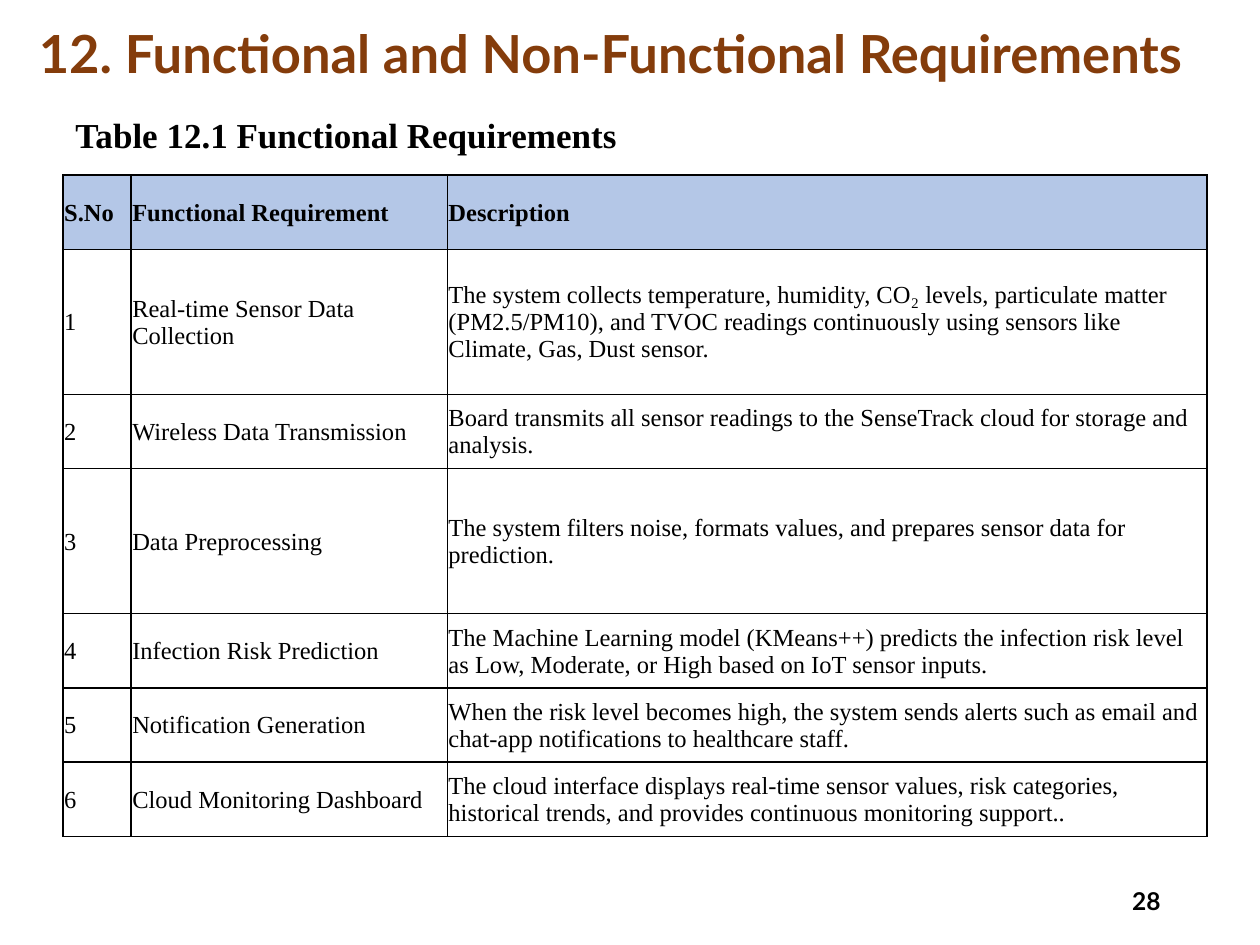
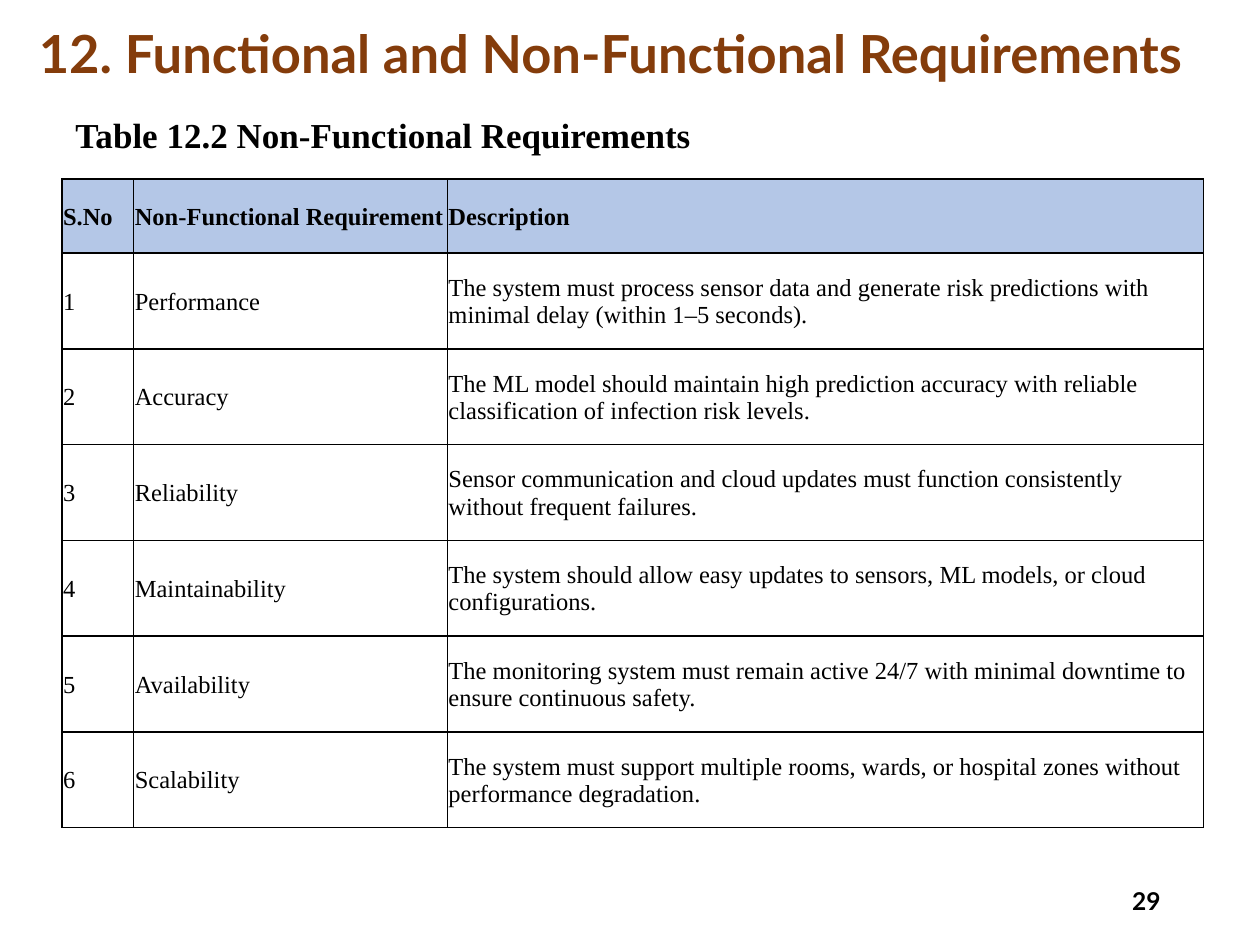
from dataclasses import dataclass

from lxml.etree import SubElement
from pptx import Presentation
from pptx.dml.color import RGBColor
from pptx.enum.text import MSO_ANCHOR, MSO_AUTO_SIZE, PP_ALIGN
from pptx.oxml.ns import qn
from pptx.util import Inches, Pt


@dataclass(frozen=True)
class Theme:
    heading_font: str = "Lato"
    body_font: str = "Times New Roman"
    heading: str = "843C0B"
    ink: str = "000000"
    header_fill: str = "B4C7E7"
    title_size: int = 30
    caption_size: int = 20
    small_size: int = 14
    border_width: int = 1


THEME = Theme()

# Slide grid: 100 columns by 75 rows of square units
SLIDE_WIDTH, SLIDE_HEIGHT = Inches(10), Inches(7.5)
UNIT = SLIDE_WIDTH / 100

# Shared regions: left, top, width, height in grid units
TITLE_BOX = (2.1, 1.5, 95.6, 6)
CAPTION_BOX = (5, 8.5, 51, 4.4)
PAGE_BOX = (70.6, 69.5, 22.5, 4)

TITLE = "12. Functional and Non-Functional Requirements"
FIRST_PAGE = 28
HEADER_ROW, TALL_ROW, EVEN_ROW = 5.9, 11.5, 7.6

REQUIREMENT_SLIDES = [
    dict(
        caption="Table 12.1 Functional Requirements",
        kind="Functional Requirement",
        corner=(5, 13.9),
        columns=(5.4, 25.1, 60.3),
        rows=(HEADER_ROW, TALL_ROW, HEADER_ROW, TALL_ROW) + (HEADER_ROW,) * 3,
        requirements=[
            ("Real-time Sensor Data Collection",
             "The system collects temperature, humidity, CO₂ levels, particulate matter "
             "(PM2.5/PM10), and TVOC readings continuously using sensors like "
             "Climate, Gas, Dust sensor."),
            ("Wireless Data Transmission",
             "Board transmits all sensor readings to the SenseTrack cloud for storage and analysis."),
            ("Data Preprocessing",
             "The system filters noise, formats values, and prepares sensor data for prediction."),
            ("Infection Risk Prediction",
             "The Machine Learning model (KMeans++) predicts the infection risk level "
             "as Low, Moderate, or High based on IoT sensor inputs."),
            ("Notification Generation",
             "When the risk level becomes high, the system sends alerts such as email and "
             "chat-app notifications to healthcare staff."),
            ("Cloud Monitoring Dashboard",
             "The cloud interface displays real-time sensor values, risk categories, "
             "historical trends, and provides continuous monitoring support.."),
        ],
    ),
    dict(
        caption="Table 12.2 Non-Functional Requirements",
        kind="Non-Functional Requirement",
        corner=(4.9, 14.2),
        columns=(5.7, 24.9, 60),
        rows=(HEADER_ROW,) + (EVEN_ROW,) * 6,
        requirements=[
            ("Performance",
             "The system must process sensor data and generate risk predictions with "
             "minimal delay (within 1–5 seconds)."),
            ("Accuracy",
             "The ML model should maintain high prediction accuracy with reliable "
             "classification of infection risk levels."),
            ("Reliability",
             "Sensor communication and cloud updates must function consistently "
             "without frequent failures."),
            ("Maintainability",
             "The system should allow easy updates to sensors, ML models, or cloud configurations."),
            ("Availability",
             "The monitoring system must remain active 24/7 with minimal downtime to "
             "ensure continuous safety."),
            ("Scalability",
             "The system must support multiple rooms, wards, or hospital zones without "
             "performance degradation."),
        ],
    ),
]


def grid(*units):
    return [round(unit * UNIT) for unit in units]


def write(frame, text, *, font, size, color=THEME.ink, bold=True,
          align=PP_ALIGN.LEFT, line_spacing=None):
    """Put one formatted paragraph in a text frame."""
    paragraph = frame.paragraphs[0]
    paragraph.alignment = align
    if line_spacing:
        paragraph.line_spacing = line_spacing
    run = paragraph.add_run()
    run.text = text
    run.font.name = font
    run.font.size = Pt(size)
    run.font.bold = bold
    run.font.color.rgb = RGBColor.from_string(color)


def add_label(slide, box, text, anchor=MSO_ANCHOR.MIDDLE, grow=False, **text_format):
    frame = slide.shapes.add_textbox(*grid(*box)).text_frame
    frame.word_wrap = True
    frame.vertical_anchor = anchor
    if grow:
        frame.auto_size = MSO_AUTO_SIZE.SHAPE_TO_FIT_TEXT
    write(frame, text, **text_format)


def add_borders(cell):
    properties = cell._tc.get_or_add_tcPr()
    for side in ("a:lnL", "a:lnR", "a:lnT", "a:lnB"):
        line = SubElement(properties, qn(side), w=str(Pt(THEME.border_width)))
        fill = SubElement(line, qn("a:solidFill"))
        SubElement(fill, qn("a:srgbClr"), val=THEME.ink)


def fill_cell(cell, text, is_header):
    cell.margin_left = cell.margin_top = cell.margin_right = Inches(0.01)
    cell.margin_bottom = 0
    cell.vertical_anchor = MSO_ANCHOR.MIDDLE
    add_borders(cell)
    if is_header:
        cell.fill.solid()
        cell.fill.fore_color.rgb = RGBColor.from_string(THEME.header_fill)
    else:
        cell.fill.background()
    write(cell.text_frame, text, font=THEME.body_font, size=THEME.small_size, bold=is_header)


def add_requirements_table(slide, corner, columns, rows, kind, requirements):
    box = grid(*corner, sum(columns), sum(rows))
    table = slide.shapes.add_table(len(rows), len(columns), *box).table
    table.first_row = table.horz_banding = False
    for column, width in zip(table.columns, grid(*columns)):
        column.width = width
    for row, height in zip(table.rows, grid(*rows)):
        row.height = height

    # Heading row, then numbered requirements
    entries = [("S.No", kind, "Description")]
    entries += [(str(number), *entry) for number, entry in enumerate(requirements, 1)]
    for row_index, entry in enumerate(entries):
        for column_index, text in enumerate(entry):
            fill_cell(table.cell(row_index, column_index), text, row_index == 0)


def add_requirements_slide(deck, page, caption, **table_content):
    slide = deck.slides.add_slide(deck.slide_layouts[6])
    # Title and page number
    add_label(slide, TITLE_BOX, TITLE, font=THEME.heading_font, size=THEME.title_size,
              color=THEME.heading, line_spacing=0.9)
    add_label(slide, PAGE_BOX, str(page), font=THEME.heading_font, size=THEME.small_size,
              align=PP_ALIGN.RIGHT)
    # Caption and table
    add_label(slide, CAPTION_BOX, caption, anchor=MSO_ANCHOR.TOP, grow=True,
              font=THEME.body_font, size=THEME.caption_size)
    add_requirements_table(slide, **table_content)


def main():
    deck = Presentation()
    deck.slide_width, deck.slide_height = SLIDE_WIDTH, SLIDE_HEIGHT
    for page, content in enumerate(REQUIREMENT_SLIDES, FIRST_PAGE):
        add_requirements_slide(deck, page, **content)
    deck.save("out.pptx")


if __name__ == "__main__":
    main()
